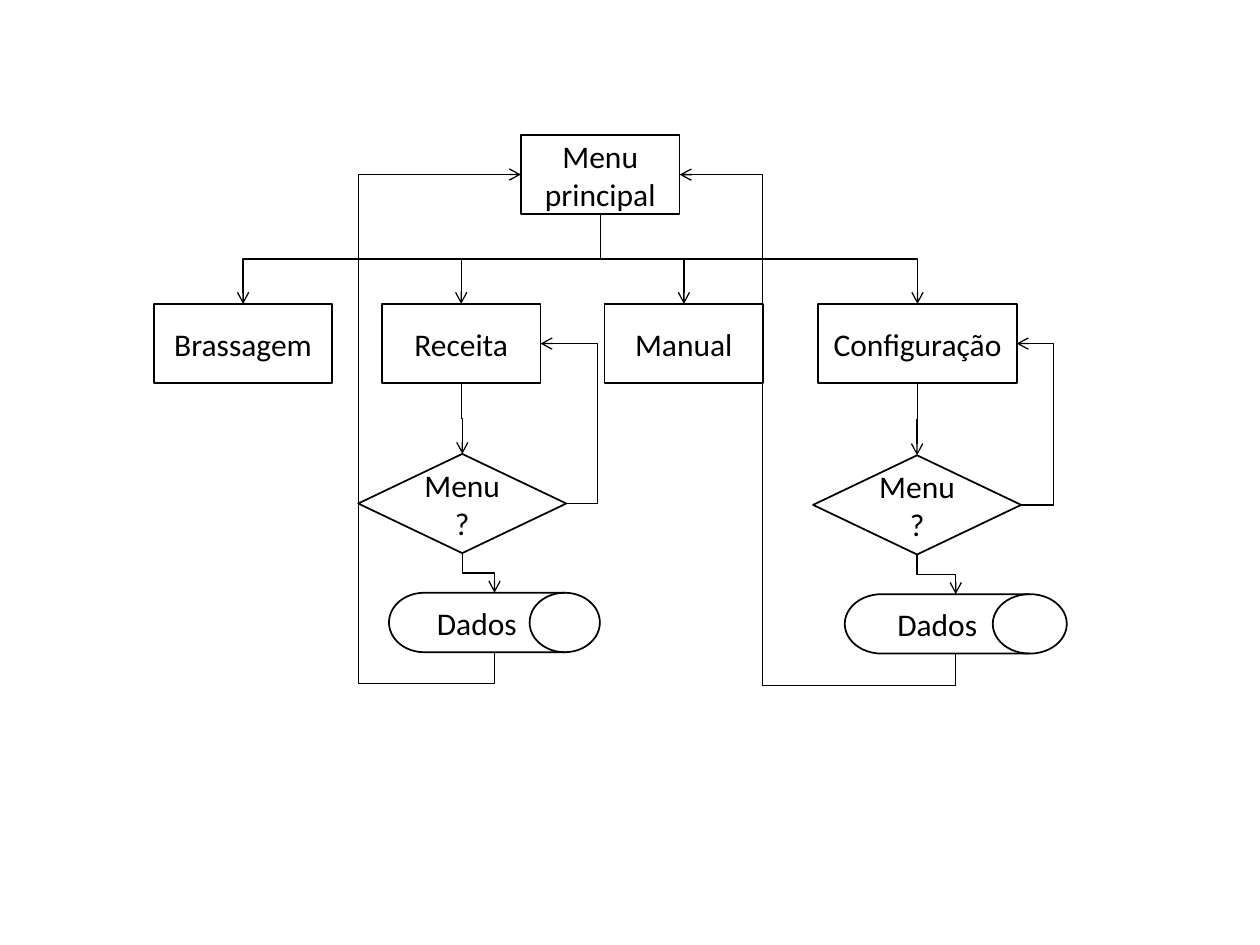
from dataclasses import dataclass

from lxml import etree
from pptx import Presentation
from pptx.dml.color import RGBColor
from pptx.enum.shapes import MSO_CONNECTOR, MSO_SHAPE
from pptx.enum.text import MSO_ANCHOR, PP_ALIGN
from pptx.oxml.ns import qn
from pptx.util import Pt

PROCESS = MSO_SHAPE.RECTANGLE
DECISION = MSO_SHAPE.FLOWCHART_DECISION
STORAGE = MSO_SHAPE.FLOWCHART_DIRECT_ACCESS_STORAGE
ELBOW = MSO_CONNECTOR.ELBOW
CENTER = PP_ALIGN.CENTER
MIDDLE = MSO_ANCHOR.MIDDLE

# Connection sites shared by the three kinds of node
TOP, LEFT, BOTTOM, RIGHT = range(4)


@dataclass(frozen=True)
class Theme:
    font: str = "Calibri"
    text_size: float = 18
    ink: RGBColor = RGBColor(0, 0, 0)
    paper: RGBColor = RGBColor(255, 255, 255)
    outline: float = 1
    arrow: float = 0.75


THEME = Theme()
PROCESS_HEIGHT = 45.35
PROCESS_WIDTH = 90.7
MENU_ROW = 173.7


def add_node(slide, kind, text, left, top, width, height=PROCESS_HEIGHT):
    node = slide.shapes.add_shape(kind, Pt(left), Pt(top), Pt(width), Pt(height))
    node.shadow.inherit = False
    node.fill.solid()
    node.fill.fore_color.rgb = THEME.paper
    node.line.color.rgb = THEME.ink
    node.line.width = Pt(THEME.outline)
    frame = node.text_frame
    frame.text = text
    frame.word_wrap = True
    frame.vertical_anchor = MIDDLE
    for paragraph in frame.paragraphs:
        paragraph.alignment = CENTER
        paragraph.font.name = THEME.font
        paragraph.font.size = Pt(THEME.text_size)
        paragraph.font.color.rgb = THEME.ink
    return node


def turn_vertical(connector):
    """Rotate the elbow so that it leaves its start vertically."""
    x1, y1 = connector.begin_x, connector.begin_y
    x2, y2 = connector.end_x, connector.end_y
    dx, dy = x2 - x1, y2 - y1
    if dx > 0 and dy > 0:
        angle, across, down = 270, -dy, dx
    else:
        angle, across, down = 90, dy, -dx
    connector.begin_x = (x1 + x2 - across) // 2
    connector.begin_y = (y1 + y2 - down) // 2
    connector.end_x = connector.begin_x + across if across > 0 else (x1 + x2 + across) // 2
    connector.end_y = (y1 + y2 + down) // 2
    connector._element.spPr.find(qn("a:xfrm")).set("rot", str(angle * 60000))


def set_bends(connector, ratios):
    geometry = connector._element.spPr.find(qn("a:prstGeom"))
    geometry.set("prst", f"bentConnector{len(ratios) + 2}")
    guides = geometry.find(qn("a:avLst"))
    for number, ratio in enumerate(ratios, 1):
        etree.SubElement(guides, qn("a:gd"), name=f"adj{number}",
                         fmla=f"val {round(ratio * 100000)}")


def add_arrow(slide, source, source_site, target, target_site, lane_x=None, lane_y=None):
    """Join two nodes; the lanes are where the elbow runs, halfway if not given."""
    connector = slide.shapes.add_connector(ELBOW, 0, 0, 0, 0)
    connector.begin_connect(source, source_site)
    connector.end_connect(target, target_site)
    x1, y1 = connector.begin_x, connector.begin_y
    ratios = [0.5]
    if lane_x is not None:
        ratios = [(Pt(lane_x) - x1) / (connector.end_x - x1)]
    if lane_y is not None:
        ratios.insert(0, (Pt(lane_y) - y1) / (connector.end_y - y1))
    if source_site in (TOP, BOTTOM):
        turn_vertical(connector)
    set_bends(connector, ratios)

    connector.line.color.rgb = THEME.ink
    connector.line.width = Pt(THEME.arrow)
    properties = connector._element.spPr
    etree.SubElement(properties.find(qn("a:ln")), qn("a:tailEnd"), type="arrow")
    etree.SubElement(properties, qn("a:effectLst"))


def add_branch(slide, menu, main_menu, entry_site, decision_at, storage_at,
               storage_width, repeat_lane, return_lane):
    """Add the question and the storage below a menu, with both ways back."""
    question = add_node(slide, DECISION, "Menu?", *decision_at, 118.9, 56.7)
    storage = add_node(slide, STORAGE, "Dados", *storage_at, storage_width, 34)
    add_arrow(slide, menu, BOTTOM, question, TOP)
    add_arrow(slide, question, BOTTOM, storage, TOP)
    add_arrow(slide, question, RIGHT, menu, RIGHT, lane_x=repeat_lane)
    add_arrow(slide, storage, BOTTOM, main_menu, entry_site,
              lane_x=return_lane, lane_y=storage_at[1] + 52)


def main():
    deck = Presentation()
    deck.slide_width, deck.slide_height = Pt(720), Pt(540)
    slide = deck.slides.add_slide(deck.slide_layouts[6])

    main_menu = add_node(slide, PROCESS, "Menu\nprincipal", 297.7, 77.1, PROCESS_WIDTH)
    menus = {}
    for name, left, width in (
        ("Brassagem", 87.9, 102.05),
        ("Receita", 218.2, PROCESS_WIDTH),
        ("Manual", 345.4, PROCESS_WIDTH),
        ("Configuração", 467.6, 113.4),
    ):
        menus[name] = add_node(slide, PROCESS, name, left, MENU_ROW, width)
        add_arrow(slide, main_menu, BOTTOM, menus[name], TOP)

    add_branch(slide, menus["Receita"], main_menu, LEFT, (204.7, 259.4),
               (222.3, 338.7), 120.5, repeat_lane=341.6, return_lane=204.7)
    add_branch(slide, menus["Configuração"], main_menu, RIGHT, (464.6, 260.2),
               (482.7, 339.5), 126.9, repeat_lane=602, return_lane=435.7)

    deck.save("out.pptx")


if __name__ == "__main__":
    main()
